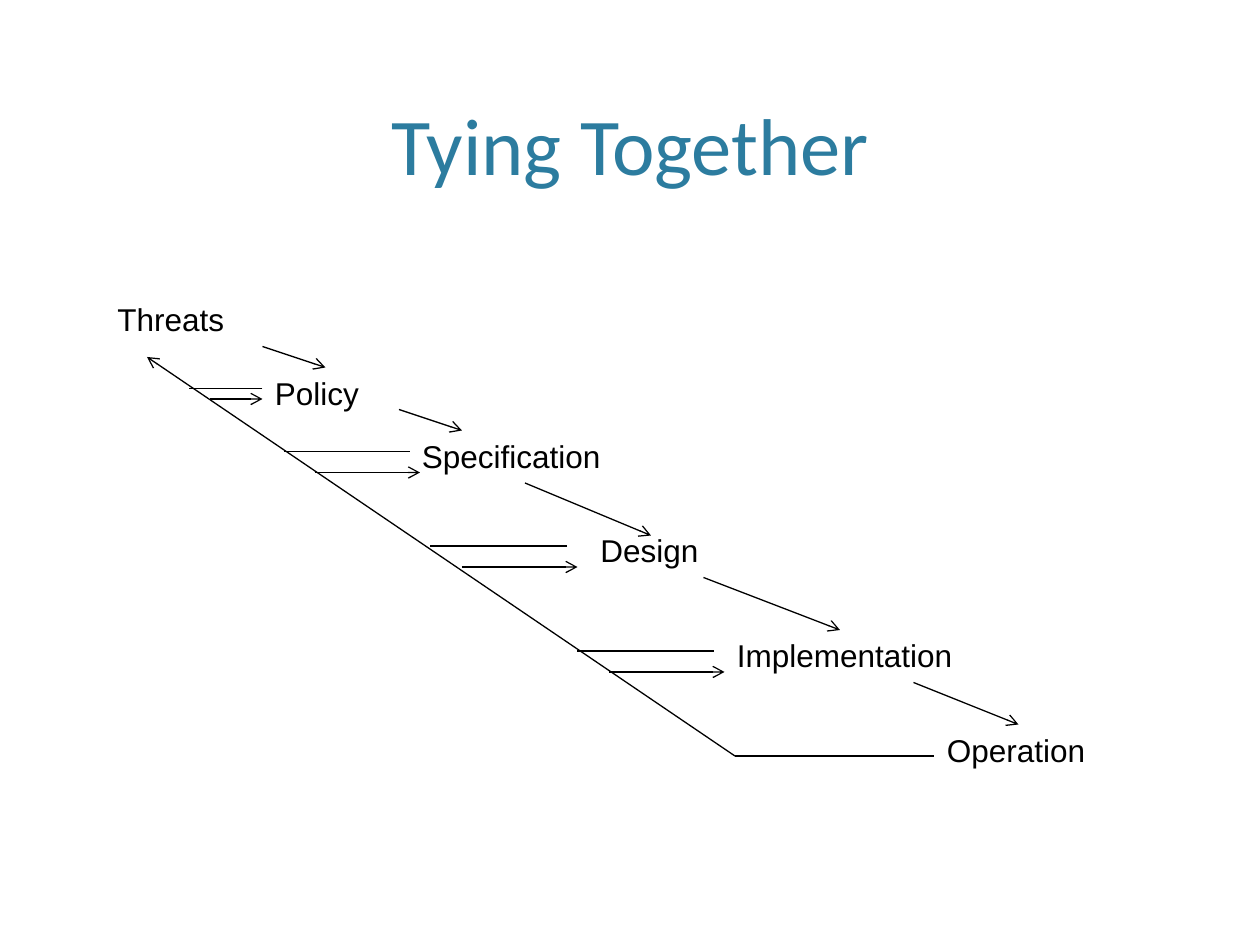
from dataclasses import dataclass

from lxml import etree
from pptx import Presentation
from pptx.dml.color import RGBColor
from pptx.enum.shapes import MSO_CONNECTOR
from pptx.enum.text import MSO_ANCHOR, MSO_AUTO_SIZE, PP_ALIGN
from pptx.oxml.ns import qn
from pptx.slide import Slide
from pptx.util import Inches, Pt

STRAIGHT = MSO_CONNECTOR.STRAIGHT
BOTTOM = MSO_ANCHOR.BOTTOM
TOP = MSO_ANCHOR.TOP
CENTER = PP_ALIGN.CENTER
LEFT = PP_ALIGN.LEFT
FIT_SHAPE = MSO_AUTO_SIZE.SHAPE_TO_FIT_TEXT
NO_FIT = MSO_AUTO_SIZE.NONE
TITLE_ONLY = 5

COLUMNS, ROWS = 120, 90
WIDTH, HEIGHT = Inches(10), Inches(7.5)


@dataclass(frozen=True)
class Theme:
    title_color: RGBColor = RGBColor(0x2C, 0x7C, 0x9F)
    ink: RGBColor = RGBColor(0, 0, 0)
    title_font: str = "Calibri"
    label_font: str = "Arial"
    title_size: Pt = Pt(46)
    label_size: Pt = Pt(18)
    line_width: Pt = Pt(0.75)


@dataclass(frozen=True)
class Stage:
    name: str
    column: float
    row: float
    width: float


@dataclass(frozen=True)
class Line:
    start: tuple[float, float]
    end: tuple[float, float]
    arrow: bool = True


@dataclass(frozen=True)
class Feedback:
    row: float
    outgoing: tuple[float, float]
    returning: tuple[float, float]
    gap: float = 2

    def lines(self) -> list[Line]:
        right, left = self.outgoing
        start, end = self.returning
        lower = self.row + self.gap
        return [
            Line((right, self.row), (left, self.row), arrow=False),
            Line((start, lower), (end, lower)),
        ]


THEME = Theme()
LABEL_ROWS = 6

STAGES = [
    Stage("Threats", 10, 28, 14.4),
    Stage("Policy", 25, 35, 12.6),
    Stage("Specification", 39, 41, 23.5),
    Stage("Design", 56, 50, 13.8),
    Stage("Implementation", 69, 60, 27.7),
    Stage("Operation", 89, 69, 18.4),
]

STEPS = [
    Line((25, 33), (31, 35)),
    Line((38, 39), (44, 41)),
    Line((50, 46), (62, 51)),
    Line((67, 55), (80, 60)),
    Line((87, 65), (97, 69)),
]

RETURN_PATH = [
    Line((70, 72), (14, 34)),
    Line((70, 72), (89, 72), arrow=False),
]

FEEDBACKS = [
    Feedback(62, (68, 55), (58, 69)),
    Feedback(52, (54, 41), (44, 55)),
    Feedback(43, (39, 27), (30, 40)),
    Feedback(37, (25, 18), (20, 25), gap=1),
]


def across(columns: float) -> int:
    return round(WIDTH * columns / COLUMNS)


def down(rows: float) -> int:
    return round(HEIGHT * rows / ROWS)


def set_title(slide: Slide, text: str) -> None:
    title = slide.shapes.title
    title.left, title.top = across(7.2), down(1.4)
    title.width, title.height = across(105.6), down(17.5)
    frame = title.text_frame
    frame.text = text
    frame.auto_size = NO_FIT
    frame.vertical_anchor = BOTTOM
    paragraph = frame.paragraphs[0]
    paragraph.alignment = CENTER
    paragraph.font.name = THEME.title_font
    paragraph.font.size = THEME.title_size
    paragraph.font.color.rgb = THEME.title_color


def draw_stage(slide: Slide, stage: Stage) -> None:
    label = slide.shapes.add_textbox(
        across(stage.column), down(stage.row), across(stage.width), down(LABEL_ROWS)
    )
    frame = label.text_frame
    frame.text = stage.name
    frame.word_wrap = False
    frame.auto_size = FIT_SHAPE
    frame.vertical_anchor = TOP
    paragraph = frame.paragraphs[0]
    paragraph.alignment = LEFT
    paragraph.font.name = THEME.label_font
    paragraph.font.size = THEME.label_size
    paragraph.font.color.rgb = THEME.ink


def draw_line(slide: Slide, line: Line) -> None:
    connector = slide.shapes.add_connector(
        STRAIGHT,
        across(line.start[0]),
        down(line.start[1]),
        across(line.end[0]),
        down(line.end[1]),
    )
    connector.line.color.rgb = THEME.ink
    connector.line.width = THEME.line_width
    properties = connector._element.spPr
    if line.arrow:
        outline = properties.find(qn("a:ln"))
        etree.SubElement(outline, qn("a:tailEnd"), type="arrow")
    etree.SubElement(properties, qn("a:effectLst"))


def main() -> None:
    presentation = Presentation()
    presentation.slide_width, presentation.slide_height = WIDTH, HEIGHT
    slide = presentation.slides.add_slide(presentation.slide_layouts[TITLE_ONLY])
    set_title(slide, "Tying Together")
    for stage in STAGES:
        draw_stage(slide, stage)
    feedback_lines = [line for feedback in FEEDBACKS for line in feedback.lines()]
    for line in STEPS + RETURN_PATH + feedback_lines:
        draw_line(slide, line)
    presentation.save("out.pptx")


if __name__ == "__main__":
    main()
